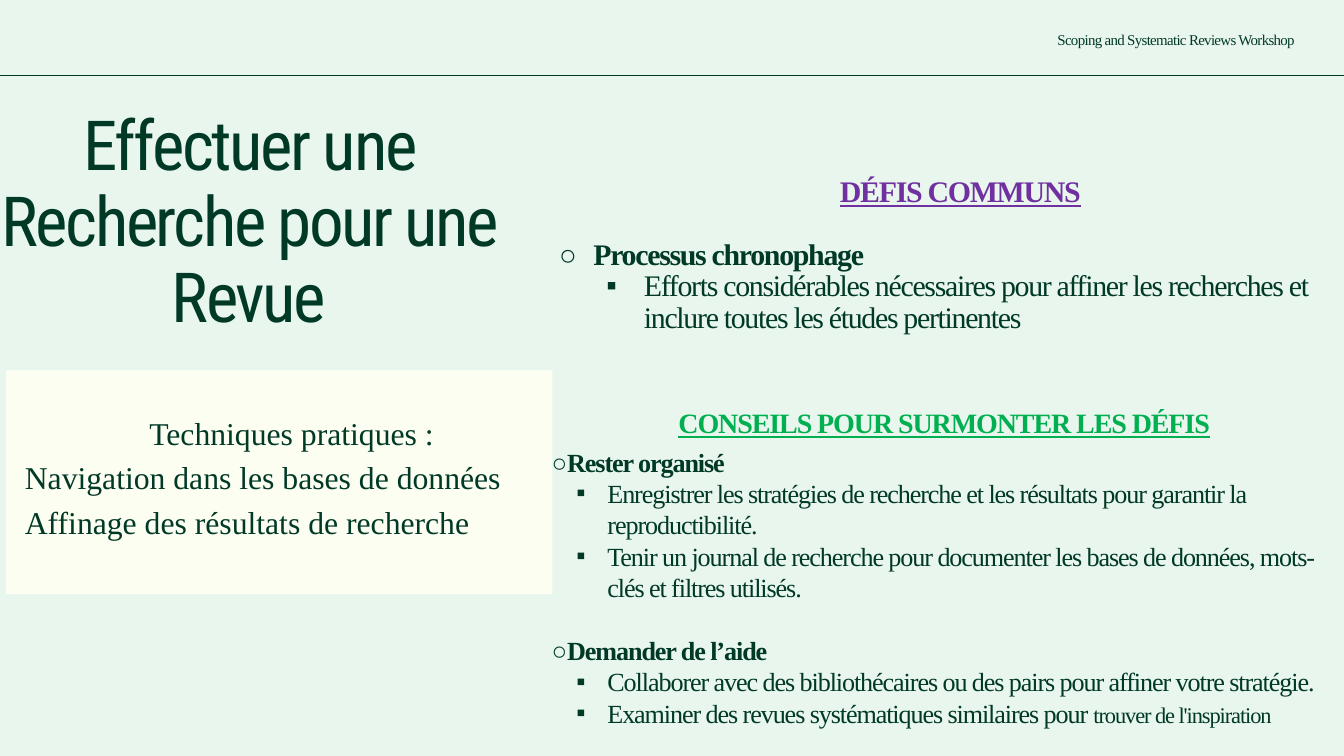
"""Build the workshop slide on search challenges and tips."""
from dataclasses import dataclass

from lxml.etree import SubElement
from pptx import Presentation
from pptx.dml.color import RGBColor as Rgb
from pptx.enum.shapes import MSO_CONNECTOR as Connector, MSO_SHAPE as Shape
from pptx.enum.text import MSO_ANCHOR as Anchor, MSO_AUTO_SIZE as AutoSize, PP_ALIGN as Align
from pptx.oxml.ns import qn
from pptx.util import Cm, Pt


@dataclass(frozen=True)
class Theme:
    background: str = "E8F6EE"
    panel: str = "FCFEF1"
    ink: str = "013927"
    challenge: str = "7030A0"
    advice: str = "00B050"
    title_font: str = "Roboto Condensed"
    body_font: str = "Times New Roman"
    title_size: int = 74
    panel_size: int = 34
    challenge_size: int = 32
    heading_size: int = 30
    advice_size: int = 28
    small_size: int = 24
    header_size: int = 16
    topic_bullet: str = "⚬"
    action_bullet: str = "▪"


def add_run(paragraph, text, *, size, color, font, bold=False, underline=False, tracking=0):
    run = paragraph.add_run()
    run.text = text
    run.font.size = Pt(size)
    run.font.name = font
    run.font.bold = bold
    run.font.underline = underline
    run.font.color.rgb = Rgb.from_string(color)
    run.font._element.set("spc", str(round(tracking * 100)))


class SlideBuilder:
    def __init__(self, slide, theme):
        self.slide = slide
        self.theme = theme
        slide.background.fill.solid()
        slide.background.fill.fore_color.rgb = Rgb.from_string(theme.background)

    def rule(self, top, width):
        rule = self.slide.shapes.add_connector(
            Connector.STRAIGHT, Cm(0), Cm(top), Cm(width), Cm(top))
        rule.line.color.rgb = Rgb.from_string(self.theme.ink)
        rule.line.width = Pt(0.75)
        SubElement(rule._element.spPr, qn("a:effectLst"))

    def panel(self, *area):
        panel = self.slide.shapes.add_shape(Shape.RECTANGLE, *map(Cm, area))
        panel.shadow.inherit = False
        panel.fill.solid()
        panel.fill.fore_color.rgb = Rgb.from_string(self.theme.panel)
        panel.line.fill.background()

    def frame(self, *area, inset=0, anchor=Anchor.TOP, auto_size=AutoSize.SHAPE_TO_FIT_TEXT):
        frame = self.slide.shapes.add_textbox(*map(Cm, area)).text_frame
        frame.word_wrap = True
        frame.auto_size = auto_size
        frame.vertical_anchor = anchor
        frame.margin_left = frame.margin_right = Cm(inset)
        frame.margin_top = frame.margin_bottom = Cm(inset)
        return frame

    def paragraph(self, frame, text, *, align=Align.LEFT, leading=None, before=0, level=0,
                  bullet=None, left=0, hanging=0, color=None, font=None, **style):
        first = frame.paragraphs[0]
        paragraph = frame.add_paragraph() if first.runs else first
        paragraph.alignment = align
        paragraph.level = level
        paragraph.space_before = Pt(before)
        if leading:
            paragraph.line_spacing = Pt(leading)
        properties = paragraph._p.get_or_add_pPr()
        properties.set("marL", str(Cm(left)))
        properties.set("indent", str(Cm(-hanging)))
        if bullet:
            SubElement(properties, qn("a:buFont"), typeface=self.theme.body_font)
            SubElement(properties, qn("a:buChar"), char=bullet)
        add_run(paragraph, text, color=color or self.theme.ink,
                font=font or self.theme.body_font, **style)
        return paragraph


def main():
    theme = Theme()
    deck = Presentation()
    deck.slide_width, deck.slide_height = Cm(50.8), Cm(28.58)
    builder = SlideBuilder(deck.slides.add_slide(deck.slide_layouts[6]), theme)

    title = builder.frame(-1.7, 4.09, 22.22, 8.66)
    builder.paragraph(title, "Effectuer une Recherche pour une Revue", align=Align.CENTER,
                      leading=81.4, size=theme.title_size, font=theme.title_font, tracking=-2.6)
    builder.rule(2.84, 50.8)
    header = builder.frame(39.34, 1.24, 9.6, 0.61)
    builder.paragraph(header, "Scoping and Systematic Reviews Workshop", align=Align.RIGHT,
                      leading=16.9, size=theme.header_size, tracking=-0.7)

    builder.panel(0.23, 14, 20.65, 8.46)
    techniques = builder.frame(0.23, 14.66, 21.59, 6.5, inset=0.71, anchor=Anchor.MIDDLE,
                               auto_size=AutoSize.NONE)
    for text, align in (
        ("Techniques pratiques :", Align.CENTER),
        ("Navigation dans les bases de données", Align.LEFT),
        ("Affinage des résultats de recherche", Align.LEFT),
    ):
        builder.paragraph(techniques, text, align=align, leading=47.6, size=theme.panel_size)

    challenges = builder.frame(21.16, 6.71, 29.34, 6.05)
    challenge = dict(size=theme.challenge_size, leading=33.6, tracking=-1.42)
    builder.paragraph(challenges, "DÉFIS COMMUNS", align=Align.CENTER, left=0.94, level=1,
                      color=theme.challenge, bold=True, underline=True, **challenge)
    builder.paragraph(challenges, "Processus chronophage", before=33.6,
                      bullet=theme.topic_bullet, left=1.27, hanging=1.27, bold=True, **challenge)
    builder.paragraph(
        challenges,
        "Efforts considérables nécessaires pour affiner les recherches et inclure toutes "
        "les études pertinentes",
        level=1, bullet=theme.action_bullet, left=3.18, hanging=1.42, **challenge)

    tips = builder.frame(20.88, 15.34, 29.62, 12.32)
    tip_tracking = -1.15
    builder.paragraph(tips, "CONSEILS POUR SURMONTER LES DÉFIS", align=Align.CENTER,
                      size=theme.heading_size, color=theme.advice, bold=True, underline=True,
                      tracking=tip_tracking)
    advice = dict(size=theme.advice_size, tracking=tip_tracking)
    for topic, gap, actions in (
        ("Rester organisé", 7, (
            "Enregistrer les stratégies de recherche et les résultats pour garantir la "
            "reproductibilité.",
            "Tenir un journal de recherche pour documenter les bases de données, mots-clés "
            "et filtres utilisés.")),
        ("Demander de l’aide", 34, (
            "Collaborer avec des bibliothécaires ou des pairs pour affiner votre stratégie.",
            "Examiner des revues systématiques similaires pour ")),
    ):
        builder.paragraph(tips, topic, before=gap, bullet=theme.topic_bullet, left=0.56,
                          hanging=1.04, bold=True, **advice)
        for action in actions:
            last_tip = builder.paragraph(tips, action, level=1, bullet=theme.action_bullet,
                                         left=2.08, hanging=1.17, **advice)
    add_run(last_tip, "trouver de l'inspiration", size=theme.small_size, color=theme.ink,
            font=theme.body_font, tracking=tip_tracking)

    deck.save("out.pptx")


if __name__ == "__main__":
    main()
